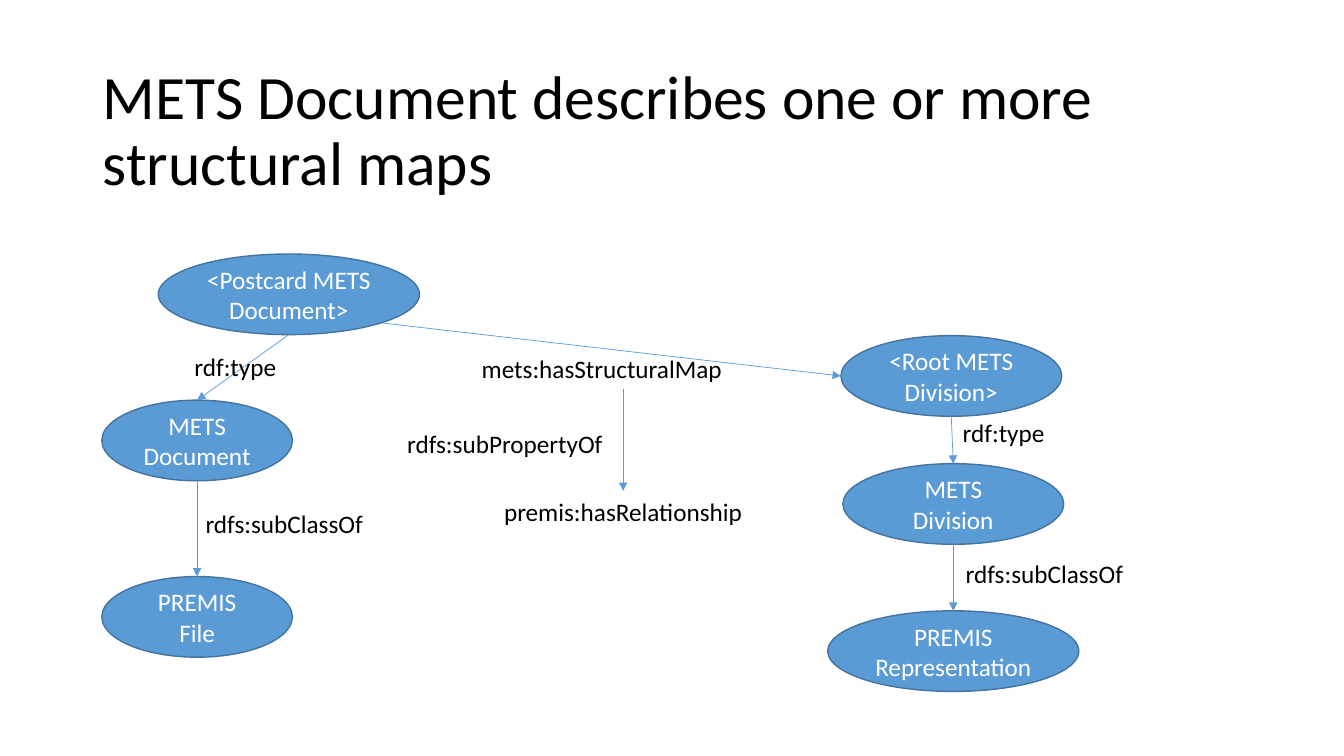
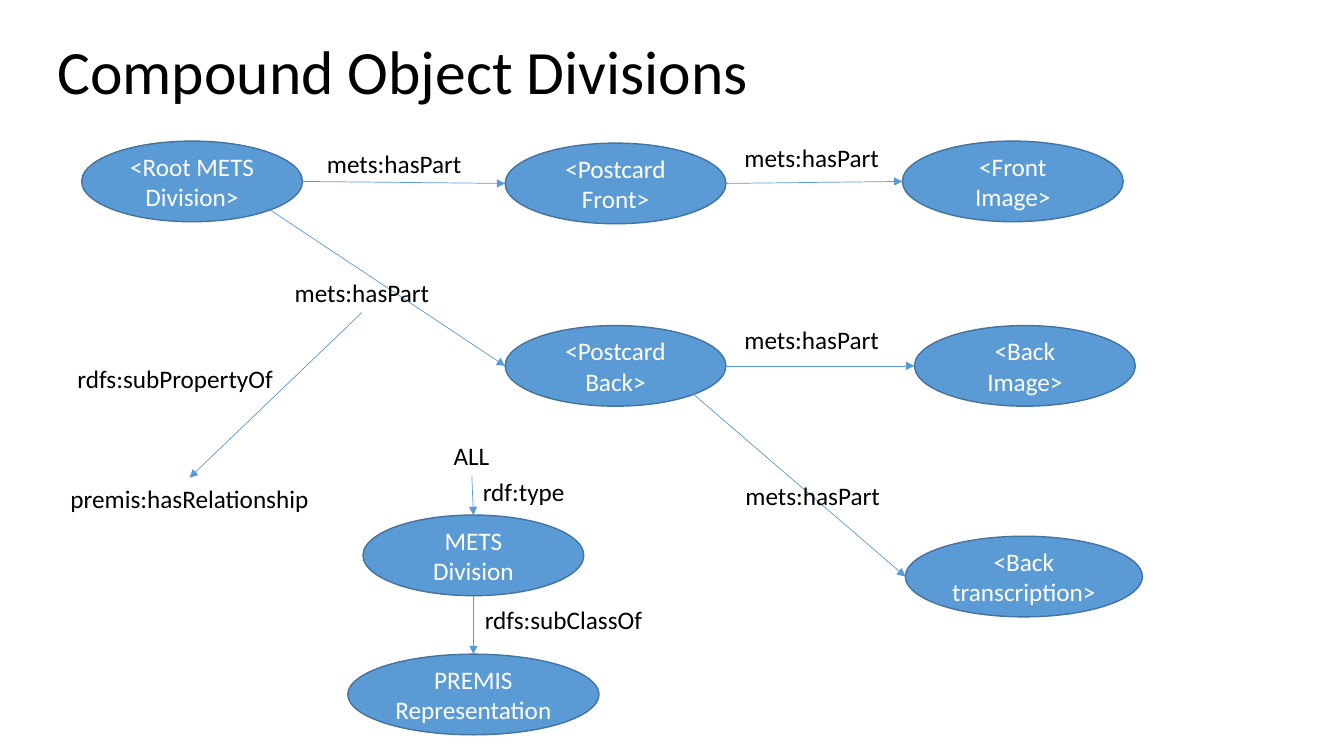
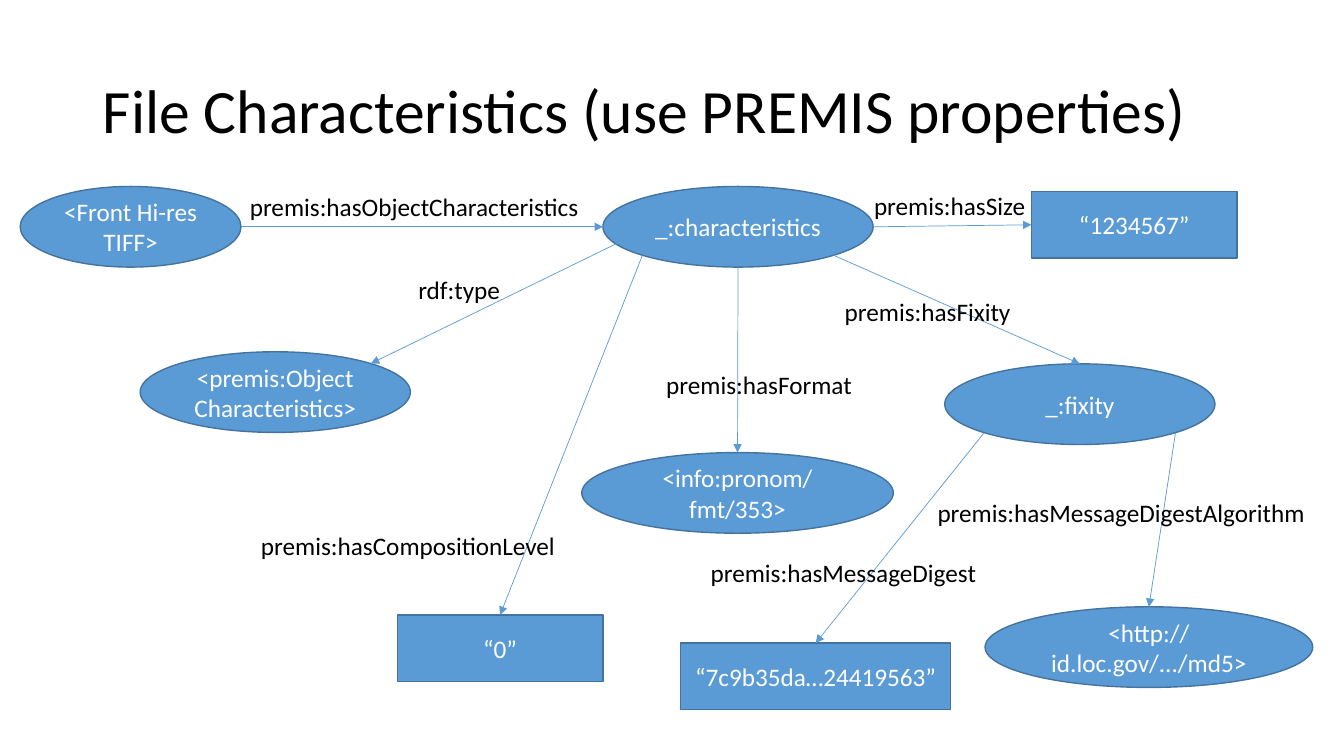
from dataclasses import dataclass

from lxml import etree
from pptx import Presentation
from pptx.dml.color import RGBColor
from pptx.enum.shapes import MSO_CONNECTOR, MSO_SHAPE
from pptx.enum.text import MSO_ANCHOR, MSO_AUTO_SIZE, PP_ALIGN
from pptx.oxml.ns import qn
from pptx.util import Inches, Pt

OVAL, RECT = MSO_SHAPE.OVAL, MSO_SHAPE.RECTANGLE
STRAIGHT = MSO_CONNECTOR.STRAIGHT
LEFT, CENTER = PP_ALIGN.LEFT, PP_ALIGN.CENTER
MIDDLE = MSO_ANCHOR.MIDDLE
NO_FIT, GROW = MSO_AUTO_SIZE.NONE, MSO_AUTO_SIZE.SHAPE_TO_FIT_TEXT
TITLE_ONLY = 5

NEAR, FAR = 0.146, 0.854
SITES = {
    "top": (0.5, 0), "bottom": (0.5, 1), "left": (0, 0.5), "right": (1, 0.5),
    "top right": (FAR, NEAR), "bottom left": (NEAR, FAR),
    "bottom right": (FAR, FAR), "lower left": (0.08, 0.66),
}


@dataclass(frozen=True)
class Theme:
    """Colours, type sizes, line widths and common node sizes."""
    font: str = "Calibri"
    text: RGBColor = RGBColor.from_string("000000")
    node_text: RGBColor = RGBColor.from_string("FFFFFF")
    fill: RGBColor = RGBColor.from_string("5B9BD5")
    border: RGBColor = RGBColor.from_string("43739E")
    title_size: Pt = Pt(44)
    body_size: Pt = Pt(18)
    border_width: Pt = Pt(1)
    link_width: Pt = Pt(0.5)
    node_width: float = 2.19
    oval_height: float = 0.8
    rect_height: float = 0.66
    label_height: float = 0.4


THEME = Theme()


def write(tf, text, size, color, align):
    """Put one formatted run into a vertically centred text frame."""
    tf.vertical_anchor = MIDDLE
    p = tf.paragraphs[0]
    p.alignment = align
    r = p.add_run()
    r.text = text
    r.font.name, r.font.size = THEME.font, size
    r.font.color.rgb = color
    return p


def add_slide(prs, title, x, y, h):
    """Add a slide with its title placeholder moved and styled."""
    s = prs.slides.add_slide(prs.slide_layouts[TITLE_ONLY])
    sp = s.shapes.title
    sp.left, sp.top, sp.width, sp.height = map(Inches, (x, y, 11.5, h))
    sp.text_frame.auto_size = NO_FIT
    p = write(sp.text_frame, title, THEME.title_size, THEME.text, LEFT)
    p.line_spacing = 0.9
    return s


def node(s, text, x, y, w=THEME.node_width, kind=OVAL):
    """Draw a resource as an ellipse or a literal as a rectangle."""
    h = THEME.oval_height if kind == OVAL else THEME.rect_height
    sp = s.shapes.add_shape(kind, *map(Inches, (x, y, w, h)))
    sp.shadow.inherit = False
    sp.fill.solid()
    sp.fill.fore_color.rgb = THEME.fill
    sp.line.color.rgb = THEME.border
    sp.line.width = THEME.border_width
    sp.text_frame.word_wrap = True
    write(sp.text_frame, text, THEME.body_size, THEME.node_text, CENTER)
    return sp


def label(s, text, x, y, w, align=None):
    """Write a property name; an alignment makes the box keep its width."""
    sp = s.shapes.add_textbox(*map(Inches, (x, y, w, THEME.label_height)))
    tf = sp.text_frame
    tf.word_wrap = align is not None
    tf.auto_size = NO_FIT if align is not None else GROW
    write(tf, text, THEME.body_size, THEME.text, align)
    return sp


def site(sp, name):
    """Return the named point on the edge of a shape."""
    fx, fy = SITES[name]
    return int(sp.left + fx * sp.width), int(sp.top + fy * sp.height)


def link(s, start, end, leave="bottom", enter="top"):
    """Draw an arrow between the edges of two shapes."""
    c = s.shapes.add_connector(STRAIGHT, *site(start, leave), *site(end, enter))
    c.line.color.rgb = THEME.fill
    c.line.width = THEME.link_width
    props = c.element.spPr
    etree.SubElement(props.find(qn("a:ln")), qn("a:tailEnd"), type="triangle")
    etree.SubElement(props, qn("a:effectLst"))


def structural_maps(prs):
    """Build the slide on documents and their structural maps."""
    s = add_slide(prs, "METS Document describes one or more structural maps",
                  0.92, 0.4, 1.83)
    postcard = node(s, "<Postcard METS Document>", 1.57, 2.52, 2.59)
    document = node(s, "METS Document", 1.01, 3.97, 1.89)
    file = node(s, "PREMIS File", 1.01, 5.72, 1.89)
    root = node(s, "<Root METS Division>", 8.34, 3.33)
    division = node(s, "METS Division", 8.36, 4.6)
    representation = node(s, "PREMIS Representation", 8.21, 6.06, 2.49)
    link(s, postcard, root, "bottom right", "left")
    for start, end in ((postcard, document), (document, file),
                       (root, division), (division, representation)):
        link(s, start, end)
    has_map = label(s, "mets:hasStructuralMap", 4.68, 3.46, 3, LEFT)
    relationship = label(s, "premis:hasRelationship", 4.68, 4.87, 3, CENTER)
    link(s, has_map, relationship)
    label(s, "rdfs:subPropertyOf", 3.94, 4.2, 2.16)
    for x, y in ((1.83, 3.44), (9.45, 4.09)):
        label(s, "rdf:type", x, y, 1.02)
    for x, y in ((1.94, 4.99), (9.48, 5.49)):
        label(s, "rdfs:subClassOf", x, y, 1.78)


def compound_divisions(prs):
    """Build the slide on the parts of a compound object."""
    s = add_slide(prs, "Compound Object Divisions", 0.47, 0.34, 0.79)
    root = node(s, "<Root METS Division>", 0.81, 1.4)
    front = node(s, "<Postcard Front>", 5.01, 1.42)
    back = node(s, "<Postcard Back>", 5.01, 3.23)
    front_image = node(s, "<Front Image>", 8.95, 1.4)
    back_image = node(s, "<Back Image>", 9.07, 3.23)
    transcription = node(s, "<Back transcription>", 8.98, 5.32, 2.35)
    division = node(s, "METS Division", 3.6, 5.11)
    representation = node(s, "PREMIS Representation", 3.45, 6.49, 2.49)
    for start, end in ((root, front), (front, front_image), (back, back_image)):
        link(s, start, end, "right", "left")
    for start, end in ((root, back), (back, transcription)):
        link(s, start, end, "bottom right", "left")
    for x, y in ((3, 1.42), (7.14, 1.36), (7.14, 3.17), (7.15, 4.72)):
        label(s, "mets:hasPart", x, y, 1.82, CENTER)
    has_part = label(s, "mets:hasPart", 2.68, 2.7, 1.82, CENTER)
    relationship = label(s, "premis:hasRelationship", 0.23, 4.74, 3.3, CENTER)
    everything = label(s, "ALL", 4.4, 4.32, 0.56)
    for start, end in ((has_part, relationship), (everything, division),
                       (division, representation)):
        link(s, start, end)
    label(s, "rdfs:subPropertyOf", 0.67, 3.55, 2.16)
    label(s, "rdf:type", 4.69, 4.68, 1.02)
    label(s, "rdfs:subClassOf", 4.71, 5.95, 1.78)


def file_characteristics(prs):
    """Build the slide on the properties of a file."""
    s = add_slide(prs, "File Characteristics (use PREMIS properties)",
                  0.92, 0.4, 1.45)
    tiff = node(s, "<Front Hi-res TIFF>", 0.2, 1.85)
    characteristics = node(s, "_:characteristics", 5.98, 1.85, 2.68)
    kind = node(s, "<premis:Object Characteristics>", 1.39, 3.49, 2.68)
    level = node(s, "“0”", 3.94, 6.1, 2.04, RECT)
    pronom = node(s, "<info:pronom/fmt/353>", 5.77, 4.49, 3.09)
    size = node(s, "“1234567”", 10.23, 1.9, 2.04, RECT)
    fixity = node(s, "_:fixity", 9.37, 3.61, 2.68)
    digest = node(s, "“7c9b35da…24419563”", 6.75, 6.38, 2.68, RECT)
    algorithm = node(s, "<http://id.loc.gov/.../md5>", 9.77, 6.02, 3.25)
    link(s, tiff, characteristics, "right", "left")
    link(s, characteristics, size, "right", "left")
    link(s, characteristics, kind, "lower left", "top right")
    link(s, characteristics, level, "bottom left")
    link(s, characteristics, pronom)
    link(s, characteristics, fixity, "bottom right")
    link(s, fixity, digest, "bottom left")
    link(s, fixity, algorithm, "bottom right")
    for text, x, y, w in (
        ("premis:hasObjectCharacteristics", 2.38, 1.85, 3.5),
        ("premis:hasSize", 8.57, 1.84, 1.72),
        ("rdf:type", 4.05, 2.67, 1.02),
        ("premis:hasCompositionLevel", 2.49, 5.21, 3.15),
        ("premis:hasFormat", 6.51, 3.61, 2.06),
        ("premis:hasFixity", 8.28, 2.89, 1.86),
        ("premis:hasMessageDigest", 6.95, 5.48, 2.86),
        ("premis:hasMessageDigestAlgorithm", 9.2, 4.88, 3.88),
    ):
        label(s, text, x, y, w)


def main():
    """Build and save the presentation."""
    prs = Presentation()
    prs.slide_width, prs.slide_height = Inches(13.33), Inches(7.5)
    structural_maps(prs)
    compound_divisions(prs)
    file_characteristics(prs)
    prs.save("out.pptx")


if __name__ == "__main__":
    main()
